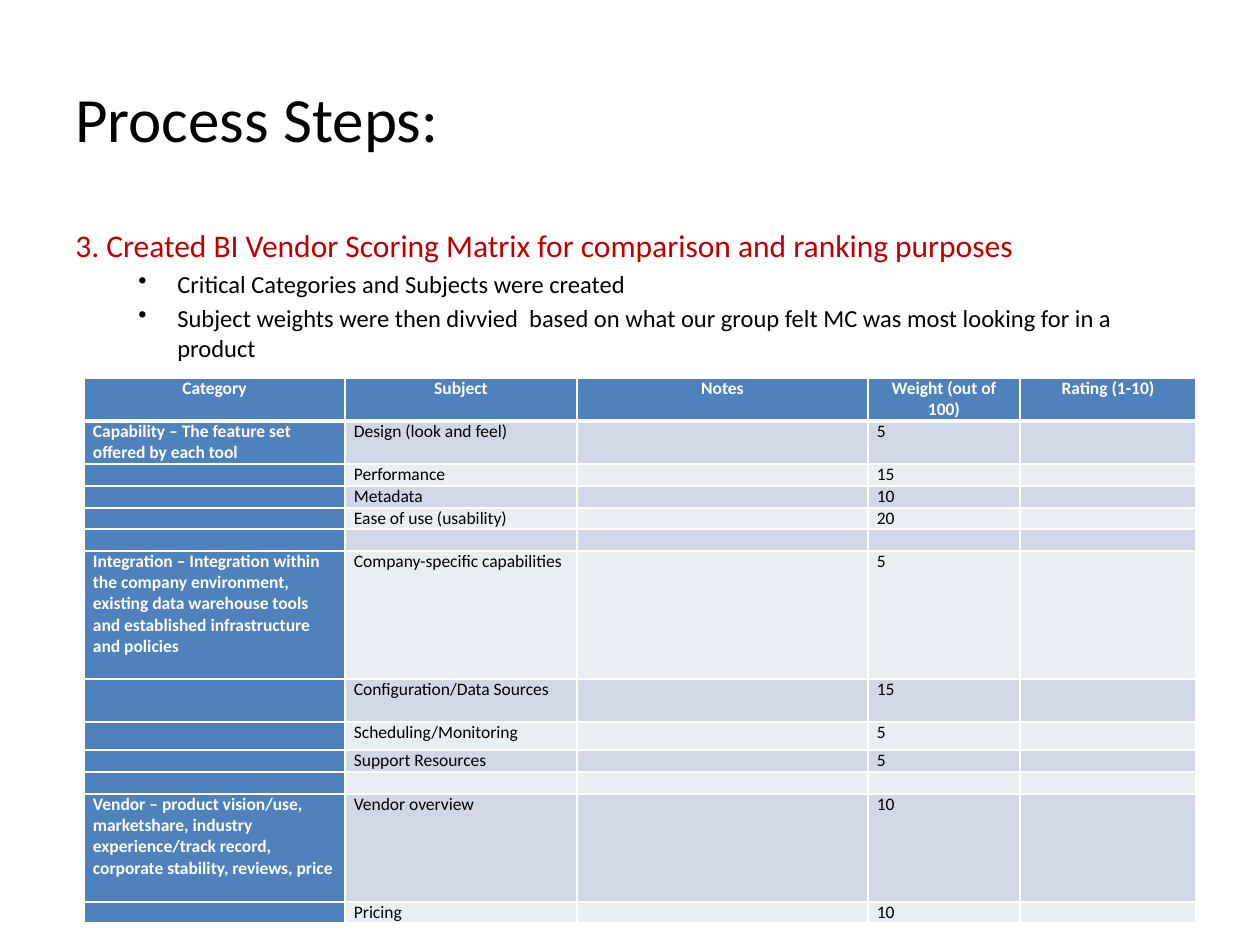
"""Build the Process Steps slide with its vendor scoring matrix."""
from dataclasses import dataclass

from lxml import etree
from pptx import Presentation
from pptx.dml.color import RGBColor
from pptx.enum.text import MSO_ANCHOR, PP_ALIGN
from pptx.oxml.ns import qn
from pptx.util import Emu, Pt

CENTER, LEFT = PP_ALIGN.CENTER, PP_ALIGN.LEFT
TOP, MIDDLE = MSO_ANCHOR.TOP, MSO_ANCHOR.MIDDLE
FONT = "Calibri"
BLACK, WHITE, RED, BLUE = "000000", "FFFFFF", "C00000", "4F81BD"
BANDS = ("D0D8E8", "E9EDF4")
CELL_SIZE = 10
THIN, THICK = 1, 3


@dataclass(frozen=True)
class Line:
    text: str
    size: int
    color: str = BLACK
    bullet: bool = False
    before: float = 0


@dataclass(frozen=True)
class Criterion:
    height: int
    category: str = ""
    subject: str = ""
    weight: str = ""


HEADERS = ("Category", "Subject", "Notes", "Weight (out of 100)", "Rating (1-10)")
HEADER_HEIGHT = 43
COLUMN_WIDTHS = (261, 232, 291, 152, 176)
CRITERIA = (
    Criterion(43, "Capability – The feature set offered by each tool",
              "Design (look and feel)", "5"),
    Criterion(22, "", "Performance", "15"),
    Criterion(22, "", "Metadata", "10"),
    Criterion(21, "", "Ease of use (usability)", "20"),
    Criterion(22),
    Criterion(128, "Integration – Integration within the company environment, existing "
              "data warehouse tools and established infrastructure and policies",
              "Company-specific capabilities", "5"),
    Criterion(43, "", "Configuration/Data Sources", "15"),
    Criterion(28, "", "Scheduling/Monitoring", "5"),
    Criterion(22, "", "Support Resources", "5"),
    Criterion(22),
    Criterion(108, "Vendor – product vision/use, marketshare, industry experience/track "
              "record, corporate stability, reviews, price", "Vendor overview", "10"),
    Criterion(21, "", "Pricing", "10"),
)
STEPS = (
    Line("3. Created BI Vendor Scoring Matrix for comparison and ranking purposes", 18, RED),
    Line("Critical Categories and Subjects were created", 14, bullet=True, before=2.8),
    Line("Subject weights were then divvied  based on what our group felt MC was most "
         "looking for in a product", 14, bullet=True, before=2.8),
)


def px(count: int) -> Emu:
    """Turn whole pixels into EMU."""
    return Emu(round(count * 914400 / 126))


def rgb(color: str) -> RGBColor:
    """Turn a hex string into a colour."""
    return RGBColor.from_string(color)


def style(para, size: int, color: str, bold: bool = False) -> None:
    """Set the font of a paragraph."""
    font = para.font
    font.name, font.size, font.bold = FONT, Pt(size), bold
    font.color.rgb = rgb(color)


def add_bullet(para) -> None:
    """Give a paragraph a hanging bullet."""
    properties = para._p.get_or_add_pPr()
    properties.set("marL", str(px(102)))
    properties.set("indent", str(px(-39)))
    bullet = etree.Element(qn("a:buChar"), char="•")
    properties.find(qn("a:defRPr")).addprevious(bullet)


def add_text(page, left: int, top: int, width: int, height: int,
             lines: tuple[Line, ...], anchor=TOP) -> None:
    """Add a wrapped text box with one paragraph for each line."""
    frame = page.shapes.add_textbox(px(left), px(top), px(width), px(height)).text_frame
    frame.word_wrap = True
    frame.vertical_anchor = anchor
    for index, line in enumerate(lines):
        para = frame.add_paragraph() if index else frame.paragraphs[0]
        para.text = line.text
        para.space_before = Pt(line.before)
        style(para, line.size, line.color)
        if line.bullet:
            add_bullet(para)


def add_borders(cell, top: int, bottom: int) -> None:
    """Draw white borders around a cell."""
    properties = cell._tc.get_or_add_tcPr()
    for side, width in (("L", THIN), ("R", THIN), ("T", top), ("B", bottom)):
        border = etree.SubElement(properties, qn(f"a:ln{side}"), w=str(Pt(width)))
        fill = etree.SubElement(border, qn("a:solidFill"))
        etree.SubElement(fill, qn("a:srgbClr"), val=WHITE)


def fill_cell(cell, text: str, row: int, column: int) -> None:
    """Write and colour a cell by its place in the matrix."""
    header = row == 0
    strong = header or column == 0
    add_borders(cell, THICK if row == 1 else THIN, THICK if header else THIN)
    cell.fill.solid()
    cell.fill.fore_color.rgb = rgb(BLUE if strong else BANDS[(row - 1) % 2])
    cell.margin_left = cell.margin_right = px(9)
    cell.margin_top = cell.margin_bottom = 0
    para = cell.text_frame.paragraphs[0]
    para.alignment = CENTER if header else LEFT
    style(para, CELL_SIZE, WHITE if strong else BLACK, strong)
    if text:
        para.text = text
    else:
        para._p.get_or_add_endParaRPr().set("sz", str(CELL_SIZE * 100))


def add_matrix(page, left: int, top: int) -> None:
    """Add the scoring matrix."""
    heights = [HEADER_HEIGHT] + [item.height for item in CRITERIA]
    rows = [HEADERS] + [(item.category, item.subject, "", item.weight, "")
                        for item in CRITERIA]
    matrix = page.shapes.add_table(len(rows), len(HEADERS), px(left), px(top),
                                   px(sum(COLUMN_WIDTHS)), px(sum(heights))).table
    matrix.first_row = matrix.horz_banding = False
    for column, width in zip(matrix.columns, COLUMN_WIDTHS):
        column.width = px(width)
    for row, (height, texts) in enumerate(zip(heights, rows)):
        matrix.rows[row].height = px(height)
        for column, text in enumerate(texts):
            fill_cell(matrix.cell(row, column), text, row, column)


def main() -> None:
    """Build and save the deck."""
    deck = Presentation()
    deck.slide_width, deck.slide_height = px(1260), px(945)
    page = deck.slides.add_slide(deck.slide_layouts[6])
    add_text(page, 63, 38, 1134, 158, (Line("Process Steps:", 36),), MIDDLE)
    add_text(page, 63, 220, 1134, 624, STEPS)
    add_matrix(page, 84, 378)
    deck.save("out.pptx")


if __name__ == "__main__":
    main()
